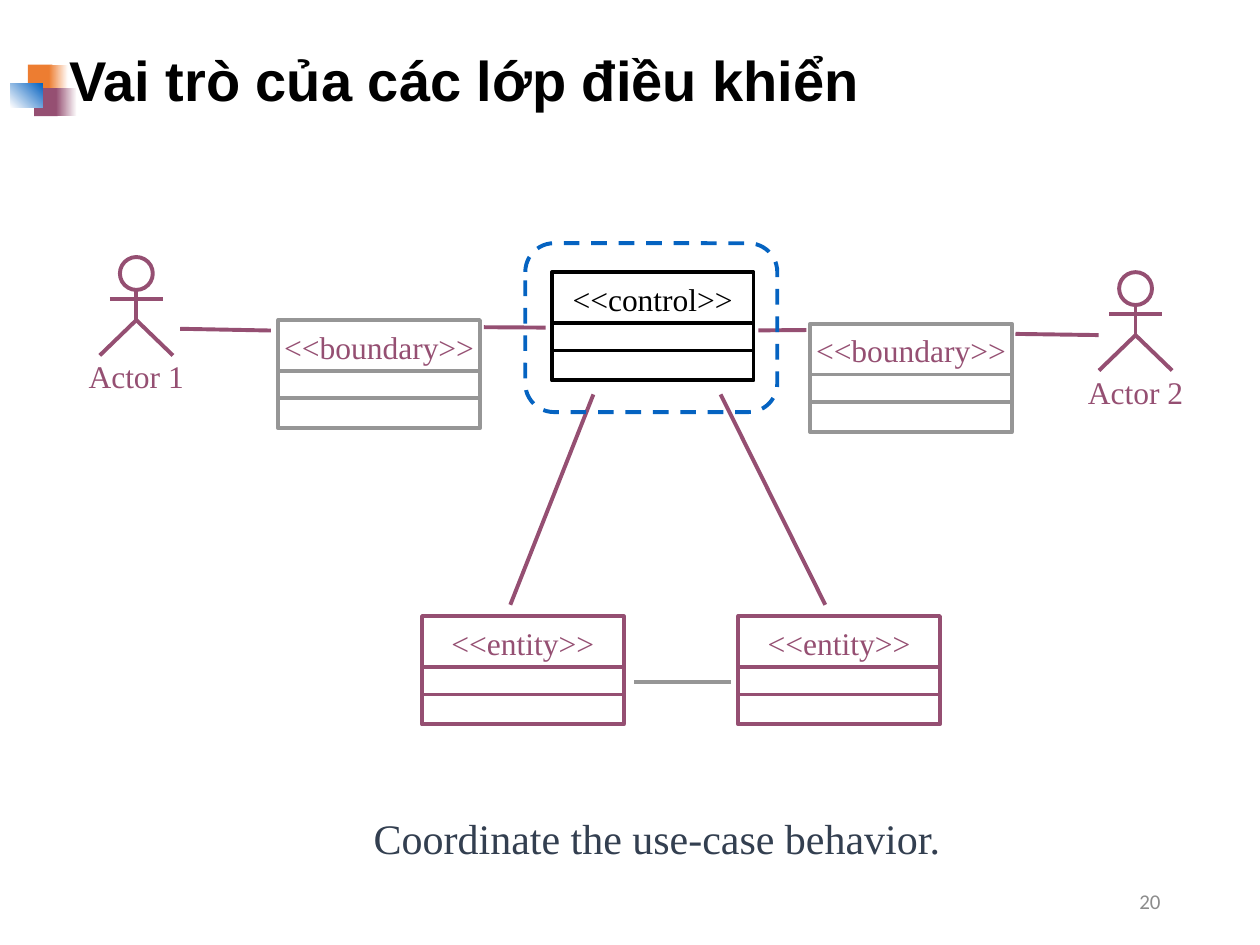
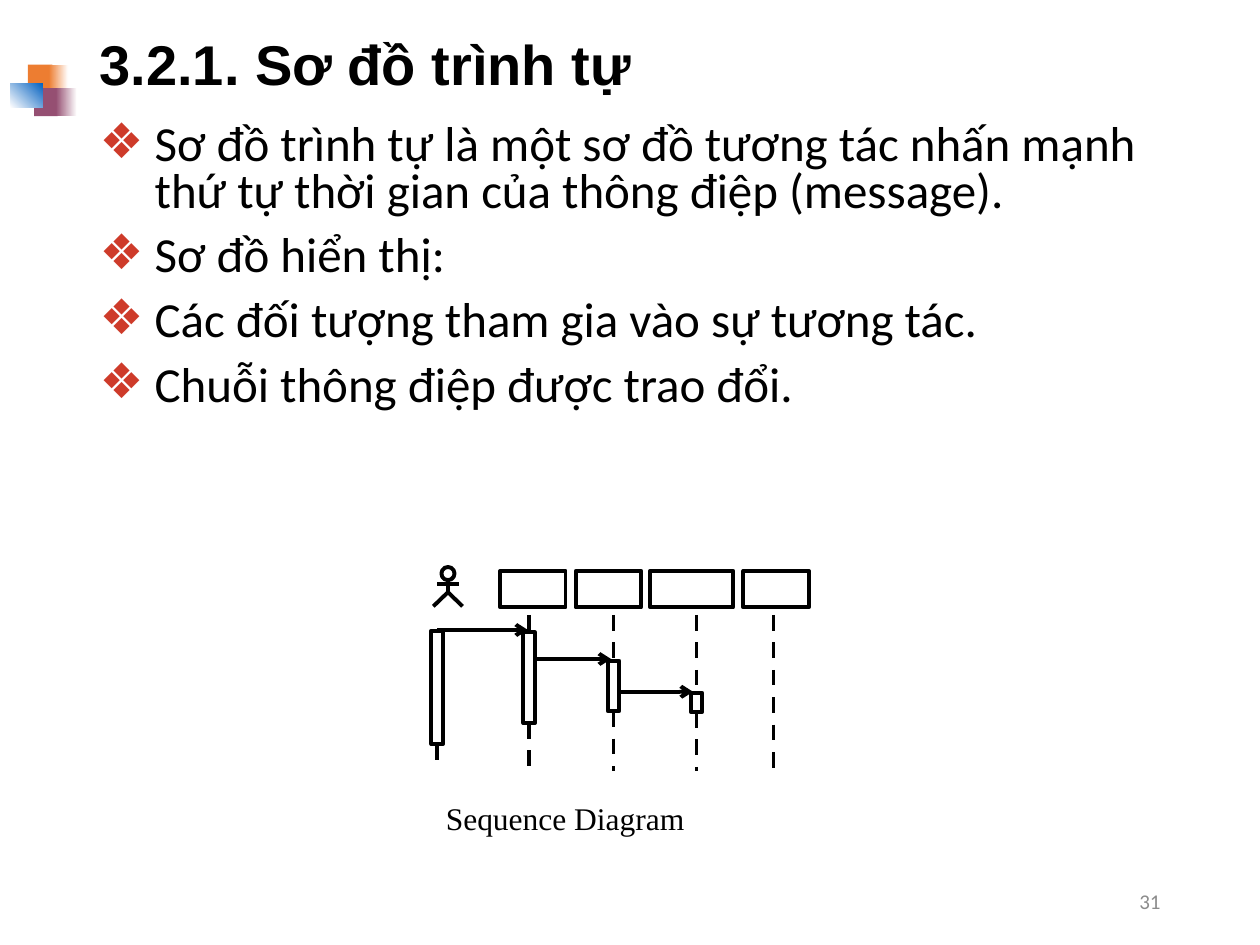
"""Build two slides: the control class diagram and the sequence diagram."""
from lxml.etree import SubElement
from pptx import Presentation
from pptx.dml.color import RGBColor
from pptx.enum.dml import MSO_LINE
from pptx.enum.shapes import MSO_CONNECTOR, MSO_SHAPE
from pptx.enum.text import MSO_ANCHOR, MSO_AUTO_SIZE, PP_ALIGN
from pptx.oxml.ns import qn
from pptx.util import Pt

RECT, OVAL, ROUND = MSO_SHAPE.RECTANGLE, MSO_SHAPE.OVAL, MSO_SHAPE.ROUNDED_RECTANGLE
STRAIGHT, DASH = MSO_CONNECTOR.STRAIGHT, MSO_LINE.DASH
LINE = "line"
LEFT, MID, RIGHT = PP_ALIGN.LEFT, PP_ALIGN.CENTER, PP_ALIGN.RIGHT
TOP, CENTER = MSO_ANCHOR.TOP, MSO_ANCHOR.MIDDLE
FIXED = MSO_AUTO_SIZE.NONE

BLACK = RGBColor(0, 0, 0)
WHITE = RGBColor(255, 255, 255)
PLUM = RGBColor(0x95, 0x4F, 0x72)
ORANGE = RGBColor(0xED, 0x7D, 0x31)
BLUE = RGBColor(0x05, 0x63, 0xC1)
GRAY = RGBColor(0x96, 0x96, 0x96)
PALE = RGBColor(0x8C, 0x8C, 0x8C)
SLATE = RGBColor(0x33, 0x3F, 0x50)
RED = RGBColor(0xCE, 0x3B, 0x2A)
SERIF = "Times New Roman"
PEN = Pt(2.25)


def write(box, text, at=None, font=SERIF, size=18, color=BLACK, bold=False,
          align=LEFT, anchor=TOP, wrap=True, inset=None, gap=None, bullet=None):
    """Fill a box with formatted text, one paragraph per line."""
    if at:
        box.left, box.top, box.width, box.height = map(Pt, at)
    frame = box.text_frame
    frame.text = text
    frame.auto_size, frame.word_wrap, frame.vertical_anchor = FIXED, wrap, anchor
    if inset is not None:
        frame.margin_left = frame.margin_right = Pt(inset)
        frame.margin_top = frame.margin_bottom = Pt(inset)
    for i, para in enumerate(frame.paragraphs):
        para.alignment = align
        para.line_spacing = gap
        para.space_before = Pt(10 if i else 0)
        if bullet:
            props = para._p.get_or_add_pPr()
            props.set("marL", str(Pt(31.5)))
            props.set("indent", str(Pt(-31.5)))
            SubElement(SubElement(props, qn("a:buClr")), qn("a:srgbClr"), val=str(RED))
            SubElement(props, qn("a:buChar"), char=bullet)
        style = para.runs[0].font
        style.name, style.size, style.bold = font, Pt(size), bold
        style.color.rgb = color


def draw(slide, kind, at, color=BLACK, dash=None, arrow=False):
    """Add an outline at left, top, width, height, or a line between two points."""
    if kind == LINE:
        shape = slide.shapes.add_connector(STRAIGHT, *map(Pt, at))
    else:
        shape = slide.shapes.add_shape(kind, *map(Pt, at))
        shape.shadow.inherit = False
        shape.fill.background()
    shape.line.color.rgb = color
    shape.line.width = PEN
    if dash:
        shape.line.dash_style = dash
    if kind == LINE:
        props = shape._element.find(qn("p:spPr"))
        if arrow:
            SubElement(props.find(qn("a:ln")), qn("a:tailEnd"), type="arrow")
        SubElement(props, qn("a:effectLst"))
    return shape


deck = Presentation()
deck.slide_width, deck.slide_height = Pt(720), Pt(540)
roles = deck.slides.add_slide(deck.slide_layouts[5])
flow = deck.slides.add_slide(deck.slide_layouts[1])

logo = [
    ((16, 37, 14, 16), ORANGE, ORANGE, 0),
    ((28, 37, 11, 16), ORANGE, WHITE, 0),
    ((19.5, 50.4, 13.5, 16), PLUM, PLUM, 0),
    ((32, 50.4, 12, 16), PLUM, WHITE, 0),
    ((6, 47.5, 18.5, 14), WHITE, BLUE, 45),
]
heads = [
    (roles, "Vai trò của các lớp điều khiển", (32.4, 8.6, 648, 77.8), "20"),
    (flow, "3.2.1. Sơ đồ trình tự", (49.7, 9.4, 620.6, 58.3), "31"),
]
for slide, title, at, number in heads:
    for place, start, end, angle in logo:
        tile = draw(slide, RECT, place)
        tile.line.fill.background()
        if start == end:
            tile.fill.solid()
            tile.fill.fore_color.rgb = start
        else:
            tile.fill.gradient()
            tile.fill.gradient_angle = angle
            for stop, tint in zip(tile.fill.gradient_stops, (start, end)):
                stop.color.rgb = tint
    write(slide.shapes.title, title, at, font="Arial", size=32, bold=True,
          anchor=CENTER, gap=0.9)
    page = slide.shapes.add_textbox(0, 0, 0, 0)
    write(page, number, (508.3, 500.4, 162, 28.8), font="Calibri", size=12,
          color=PALE, align=RIGHT, anchor=CENTER)

actors = [
    (roles, 77.9, 146.9, 1, PLUM, "Actor 1"),
    (roles, 648.9, 155.5, 1, PLUM, "Actor 2"),
    (flow, 256, 324, 0.4, BLACK, None),
]
for slide, x, y, scale, color, name in actors:
    head, arm, hip = 18.8 * scale, 15.1 * scale, y + 36 * scale
    foot, floor, reach = 20.9 * scale, y + 56.2 * scale, y + 23.8 * scale
    draw(slide, OVAL, (x - head / 2, y, head, head), color)
    draw(slide, LINE, (x, y + head, x, hip), color)
    draw(slide, LINE, (x - arm, reach, x + arm, reach), color)
    pen = slide.shapes.build_freeform(Pt(x - foot), Pt(floor))
    pen.add_line_segments([(Pt(x), Pt(hip)), (Pt(x + foot), Pt(floor))], close=False)
    legs = pen.convert_to_shape()
    legs.shadow.inherit = False
    legs.fill.background()
    legs.line.color.rgb, legs.line.width = color, PEN
    if name:
        label = slide.shapes.add_textbox(0, 0, 0, 0)
        write(label, name, (x - 28.4, y + 57.4, 56.8, 21.6), color=color,
              align=MID, wrap=False, inset=0)

links = [
    (580.3, 190.8, 627.8, 191.5), (276.5, 187, 311.8, 187.2),
    (291.6, 345.6, 339.1, 225.4), (411.8, 225.4, 471.6, 345.6),
    (460.8, 188.6, 433.4, 188.8), (103, 187.9, 154.8, 188.9),
]
for at in links:
    draw(roles, LINE, at, PLUM)
draw(roles, LINE, (417.6, 389.5, 362.2, 389.5), GRAY)

parts = [
    ("<<boundary>>", 159.1, 182.9, GRAY, PLUM),
    ("<<control>>", 315.4, 155.5, BLACK, BLACK),
    ("<<boundary>>", 463, 185, GRAY, PLUM),
    ("<<entity>>", 241.2, 352.1, PLUM, PLUM),
    ("<<entity>>", 421.9, 352.1, PLUM, PLUM),
]
for name, x, y, edge, ink in parts:
    draw(roles, RECT, (x, y, 115.2, 61.9), edge)
    for drop in (29, 44.8):
        draw(roles, LINE, (x, y + drop, x + 115.2, y + drop), edge)
    label = roles.shapes.add_textbox(0, 0, 0, 0)
    write(label, name, (x, y + 4.3, 115.2, 21.6), color=ink, align=MID,
          wrap=False, inset=0)

focus = draw(roles, ROUND, (300.2, 139, 144, 96.5), BLUE, DASH)
focus.adjustments[0] = 0.17
note = roles.shapes.add_textbox(0, 0, 0, 0)
write(note, "Coordinate the use-case behavior.", (180, 460.8, 391, 36), size=24,
      color=SLATE, align=MID)

points = [
    "Sơ đồ trình tự là một sơ đồ tương tác nhấn mạnh thứ tự thời gian của thông điệp (message).",
    "Sơ đồ hiển thị:",
    "Các đối tượng tham gia vào sự tương tác.",
    "Chuỗi thông điệp được trao đổi.",
]
write(flow.placeholders[1], "\n".join(points), (49.7, 67, 620.6, 215.3),
      font="Calibri", size=28, gap=0.8, bullet="❖")
note = flow.shapes.add_textbox(0, 0, 0, 0)
write(note, "Sequence Diagram", (247.7, 452.9, 197.3, 28.8))

for x, width in ((285.8, 37.4), (329, 37.4), (371.5, 47.5), (424.8, 37.4)):
    draw(flow, RECT, (x, 326.2, width, 20.9))

birth, death = 351.4, 440.8
bars = [(249.8, 360.4, 64.8), (302.4, 361.4, 51.8), (350.6, 377.6, 28.8), (398, 396, 10.8)]
for x, top, height in bars:
    draw(flow, RECT, (x - 3.3, top, 6.6, height))
    draw(flow, LINE, (x, top + height, x, death), dash=DASH)
    if x > bars[0][0]:
        draw(flow, LINE, (x, birth, x, top), dash=DASH)
draw(flow, LINE, (442, birth, 442, death), dash=DASH)

for start, end, y in ((249.8, 301.7, 360), (305.3, 349.2, 376.6), (355, 396, 395.3)):
    draw(flow, LINE, (start, y, end, y), arrow=True)

deck.save("out.pptx")
